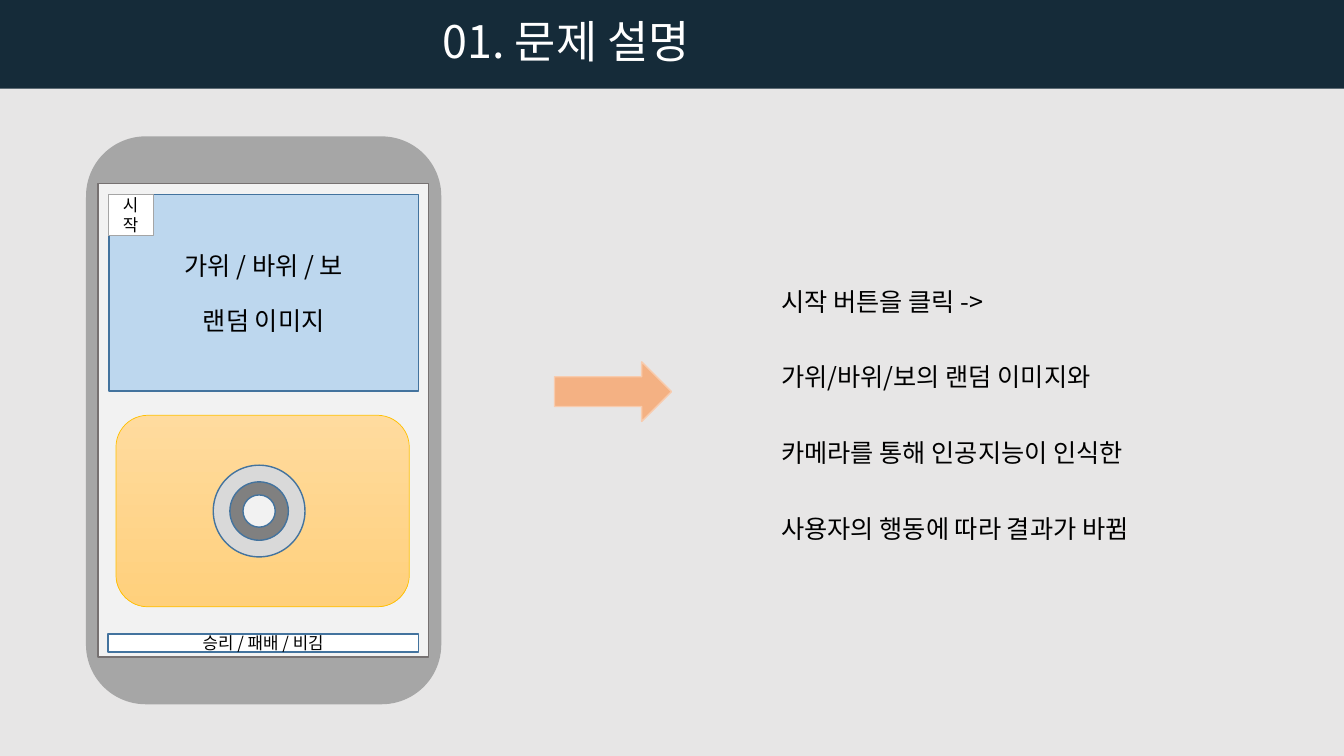
from pptx import Presentation
from pptx.dml.color import RGBColor
from pptx.enum.shapes import MSO_SHAPE
from pptx.enum.text import MSO_ANCHOR, MSO_AUTO_SIZE, PP_ALIGN
from pptx.oxml.ns import qn
from pptx.util import Inches, Pt
from lxml import etree

RECT, ROUNDED = MSO_SHAPE.RECTANGLE, MSO_SHAPE.ROUNDED_RECTANGLE
OVAL, ARROW = MSO_SHAPE.OVAL, MSO_SHAPE.RIGHT_ARROW
CENTER, LEFT = PP_ALIGN.CENTER, PP_ALIGN.LEFT
MIDDLE = MSO_ANCHOR.MIDDLE
FIT = MSO_AUTO_SIZE.SHAPE_TO_FIT_TEXT
FONT = "Noto Sans CJK KR"
COLORS = {
    "background": "E7E6E6", "header": "152B39", "white": "FFFFFF", "black": "000000",
    "body": "A6A6A6", "screen": "F2F2F2", "screen_edge": "767171",
    "display": "BDD7EE", "blue_edge": "43739E", "button_edge": "A5A5A5",
    "camera_top": "FFDB9E", "camera_bottom": "FFD07C", "camera_edge": "FFC000",
    "lens_outer": "D9D9D9", "lens_ring": "808080",
    "arrow": "F4B183", "arrow_edge": "F8CBAD",
}
COLORS = {part: RGBColor.from_string(value) for part, value in COLORS.items()}


def add_part(parent, kind, box, fill, edge=None, weight=1):
    part = parent.shapes.add_shape(kind, *map(Inches, box))
    part.shadow.inherit = False
    part.fill.solid()
    part.fill.fore_color.rgb = COLORS[fill]
    if edge:
        part.line.color.rgb = COLORS[edge]
        part.line.width = Pt(weight)
    else:
        part.line.fill.background()
    return part


def write(part, lines, size, color="black", align=CENTER, spacing=None, gap=0):
    frame = part.text_frame
    for i, line in enumerate(lines):
        paragraph = frame.add_paragraph() if i else frame.paragraphs[0]
        paragraph.alignment = align
        if spacing:
            paragraph.line_spacing = spacing
        if i and gap:
            paragraph.space_before = Pt(gap)
        run = paragraph.add_run()
        run.text = line
        run.font.size = Pt(size)
        run.font.name = FONT
        run.font.color.rgb = COLORS[color]
        etree.SubElement(run.font._element, qn("a:ea"), typeface=FONT)


prs = Presentation()
prs.slide_width, prs.slide_height = Inches(13.33), Inches(7.5)
slide = prs.slides.add_slide(prs.slide_layouts[6])
slide.background.fill.solid()
slide.background.fill.fore_color.rgb = COLORS["background"]

add_part(slide, RECT, (0, 0, 13.33, 0.88), "header")
title = slide.shapes.add_textbox(Inches(4.29), Inches(0.09), Inches(2.91), Inches(0.64))
title.text_frame.word_wrap = False
title.text_frame.auto_size = FIT
write(title, ["01. 문제 설명"], 32, "white", LEFT)

phone = slide.shapes.add_group_shape()
add_part(phone, ROUNDED, (0.86, 1.36, 3.51, 5.62), "body", "body")
add_part(phone, RECT, (0.97, 1.82, 3.28, 4.7), "screen", "screen_edge")
display = add_part(phone, RECT, (1.08, 1.93, 3.07, 1.95), "display", "blue_edge")
display.text_frame.vertical_anchor = MIDDLE
write(display, ["가위 / 바위 / 보", "랜덤 이미지"], 18, gap=18)
start_button = add_part(phone, RECT, (1.07, 1.93, 0.45, 0.41), "white", "button_edge", 0.5)
start_button.text_frame.vertical_anchor = MIDDLE
write(start_button, ["시작"], 12)

camera = slide.shapes.add_group_shape()
camera_panel = add_part(camera, ROUNDED, (1.15, 4.12, 2.91, 1.9), "camera_top", "camera_edge", 0.5)
camera_panel.fill.gradient()
camera_panel.fill.gradient_angle = 270
for stop, tone in zip(camera_panel.fill.gradient_stops, ("camera_top", "camera_bottom")):
    stop.color.rgb = COLORS[tone]
lens_x, lens_y = 2.57, 5.07
for diameter, tone in ((0.91, "lens_outer"), (0.58, "lens_ring"), (0.32, "screen")):
    lens_box = (lens_x - diameter / 2, lens_y - diameter / 2, diameter, diameter)
    add_part(camera, OVAL, lens_box, tone, "blue_edge")

add_part(slide, ARROW, (5.5, 3.59, 1.16, 0.59), "arrow", "arrow_edge")

explanation = slide.shapes.add_textbox(Inches(7.65), Inches(2.34), Inches(4.12), Inches(3))
explanation.text_frame.word_wrap = True
explanation.text_frame.auto_size = FIT
write(explanation, [
    "시작 버튼을 클릭 ->",
    "가위/바위/보의 랜덤 이미지와",
    "카메라를 통해 인공지능이 인식한",
    "사용자의 행동에 따라 결과가 바뀜",
], 18, align=LEFT, spacing=2.5)

result_bar = add_part(slide, RECT, (1.07, 6.29, 3.08, 0.18), "white", "blue_edge")
result_bar.text_frame.vertical_anchor = MIDDLE
write(result_bar, ["승리 / 패배 / 비김"], 12)

prs.save("out.pptx")
